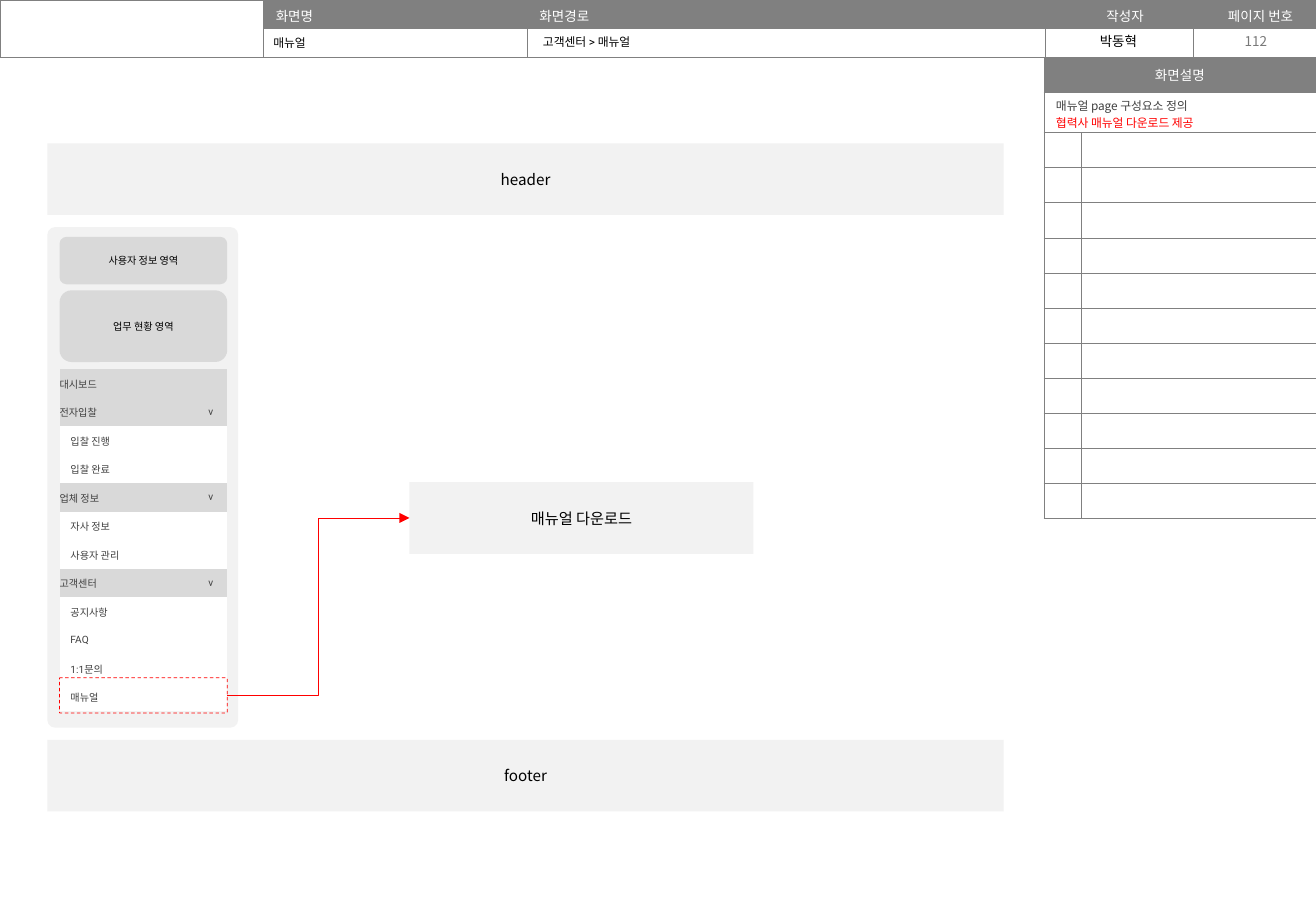
from lxml.etree import SubElement
from pptx import Presentation
from pptx.dml.color import RGBColor
from pptx.enum.dml import MSO_LINE
from pptx.enum.shapes import MSO_CONNECTOR, MSO_SHAPE
from pptx.enum.text import MSO_ANCHOR, PP_ALIGN
from pptx.oxml.ns import qn
from pptx.util import Inches, Pt

NOTO, ROBOTO = "Noto Sans CJK KR", "Roboto"
BLACK = RGBColor(0, 0, 0)
WHITE = RGBColor(0xFF, 0xFF, 0xFF)
RED = RGBColor(0xFF, 0, 0)
DARK = RGBColor(0x40, 0x40, 0x40)
NUMBER = RGBColor(0x79, 0x79, 0x79)
GRAY = RGBColor(0x80, 0x80, 0x80)
MID = RGBColor(0xD9, 0xD9, 0xD9)
LIGHT = RGBColor(0xF2, 0xF2, 0xF2)
LEFT, CENTER = PP_ALIGN.LEFT, PP_ALIGN.CENTER

TITLE = ("매뉴얼", 2.15, 0.24, 2.22, 0.22)
HEADINGS = [("화면명", LEFT), ("화면경로", LEFT), ("작성자", CENTER), ("페이지 번호", CENTER)]
INFO = [
    ("고객센터 > 매뉴얼", 4.37, 0.24, 4.21, 0.22, 7, ROBOTO, BLACK, LEFT),
    ("박동혁", 8.59, 0.22, 1.23, 0.24, 8, NOTO, BLACK, CENTER),
    ("112", 9.83, 0.22, 1.01, 0.24, 8, NOTO, NUMBER, CENTER),
]
NOTES = [("매뉴얼 page 구성요소 정의", DARK), ("협력사 매뉴얼 다운로드 제공", RED)]
EMPTY_NOTES = 11
MENU = [
    ("대시보드", []),
    ("전자입찰", ["입찰 진행", "입찰 완료"]),
    ("업체 정보", ["자사 정보", "사용자 관리"]),
    ("고객센터", ["공지사항", "FAQ", "1:1문의", "매뉴얼"]),
]
BANDS = [("header", 1.18), ("footer", 6.09)]
CARDS = [("사용자 정보 영역", 1.95, 0.39, 0.145), ("업무 현황 영역", 2.39, 0.59, 0.167)]
MENU_X, MENU_W = 0.49, 1.38


def style(p, size, font, color, align=LEFT):
    p.alignment = align
    for r in p.runs:
        r.font.size, r.font.name, r.font.color.rgb = Pt(size), font, color
        SubElement(r.font._element, qn("a:ea"), typeface=NOTO)


def fill_cell(cell, text, size, font, color, fill=None, align=LEFT, margins=(0.1, 0.05),
              anchor=MSO_ANCHOR.MIDDLE):
    cell.margin_left, cell.margin_top = map(Inches, margins)
    cell.margin_right = cell.margin_bottom = 0
    cell.vertical_anchor = anchor
    if fill is None:
        cell.fill.background()
    else:
        cell.fill.solid()
        cell.fill.fore_color.rgb = fill
    p = cell.text_frame.paragraphs[0]
    if text:
        p.text = text
        style(p, size, font, color, align)
    else:
        SubElement(p._p, qn("a:endParaRPr"), sz=str(size * 100))


def add_grid(s, x, y, cols, rows, border=None):
    frame = s.shapes.add_table(len(rows), len(cols), Inches(x), Inches(y),
                               Inches(sum(cols)), Inches(sum(rows)))
    table = frame.table
    table.first_row = table.horz_banding = False
    for column, width in zip(table.columns, cols):
        column.width = Inches(width)
    for row, height in zip(table.rows, rows):
        row.height = Inches(height)
    for cell in table.iter_cells():
        tcPr = cell._tc.get_or_add_tcPr()
        for side in "LRTB":
            ln = SubElement(tcPr, qn(f"a:ln{side}"), w=str(Pt(0.25)))
            if border is None:
                SubElement(ln, qn("a:noFill"))
            else:
                solid = SubElement(ln, qn("a:solidFill"))
                SubElement(solid, qn("a:srgbClr"), val=str(border))
    return table


def add_box(s, x, y, w, h, fill=None, text="", size=9, radius=0):
    kind = MSO_SHAPE.ROUNDED_RECTANGLE if radius else MSO_SHAPE.RECTANGLE
    box = s.shapes.add_shape(kind, Inches(x), Inches(y), Inches(w), Inches(h))
    box.shadow.inherit = False
    if radius:
        box.adjustments[0] = radius
    if fill is None:
        box.fill.background()
    else:
        box.fill.solid()
        box.fill.fore_color.rgb = fill
    box.line.fill.background()
    if text:
        tf = box.text_frame
        tf.text = text
        tf.vertical_anchor = MSO_ANCHOR.MIDDLE
        style(tf.paragraphs[0], size, NOTO, BLACK, CENTER)
    return box


def add_screen_info(s):
    title = s.shapes.title
    text, *place = TITLE
    title.left, title.top, title.width, title.height = map(Inches, place)
    title.text_frame.text = text
    title.text_frame.vertical_anchor = MSO_ANCHOR.TOP
    style(title.text_frame.paragraphs[0], 7, ROBOTO, BLACK)

    table = add_grid(s, 0, 0, [2.17, 2.17, 4.26, 1.22, 1.01], [0.235] * 2, GRAY)
    for cell in table.iter_cells():
        fill_cell(cell, "", 7, NOTO, BLACK)
    table.cell(0, 0).merge(table.cell(1, 0))
    for col, (text, align) in enumerate(HEADINGS, 1):
        fill_cell(table.cell(0, col), text, 8, NOTO, WHITE, GRAY, align,
                  anchor=MSO_ANCHOR.TOP)
    for text, x, y, w, h, size, font, color, align in INFO:
        tf = s.shapes.add_textbox(Inches(x), Inches(y), Inches(w), Inches(h)).text_frame
        tf.word_wrap = True
        tf.text = text
        style(tf.paragraphs[0], size, font, color, align)


def add_notes_table(s):
    table = add_grid(s, 8.59, 0.47, [0.31, 1.93], [0.29, 0.33] + [0.289] * EMPTY_NOTES, GRAY)
    for cell in table.iter_cells():
        fill_cell(cell, "", 7, NOTO, DARK)
    for row in range(2):
        table.cell(row, 0).merge(table.cell(row, 1))
    fill_cell(table.cell(0, 0), "화면설명", 8, NOTO, WHITE, GRAY, CENTER, (0, 0))
    notes = table.cell(1, 0)
    notes.margin_top = Inches(0.03)
    notes.text_frame.text = "\n".join(text for text, _ in NOTES)
    for p, (_, color) in zip(notes.text_frame.paragraphs, NOTES):
        style(p, 7, NOTO, color)


def add_menu(s):
    add_box(s, 0.39, 1.87, 1.57, 4.12, LIGHT, radius=0.04)
    rows = []
    for group, items in MENU:
        rows.append((group, "v" if items else "", MID, 0))
        rows += [(item, "", WHITE, 0.09) for item in items]
    table = add_grid(s, MENU_X, 3.04, [1.11, 0.27], [0.235] * len(rows))
    for row, (text, mark, fill, indent) in enumerate(rows):
        fill_cell(table.cell(row, 0), text, 6, ROBOTO, DARK, fill, margins=(indent, 0))
        fill_cell(table.cell(row, 1), mark, 6, ROBOTO, DARK, fill, CENTER, (0, 0))
    for text, y, h, radius in CARDS:
        add_box(s, MENU_X, y, MENU_W, h, MID, text, 6, radius)


def add_download_flow(s):
    selected = add_box(s, MENU_X, 5.58, MENU_W, 0.29, radius=0.02)
    selected.line.color.rgb = RED
    selected.line.width = Pt(0.5)
    selected.line.dash_style = MSO_LINE.DASH
    download = add_box(s, 3.37, 3.97, 2.83, 0.59, LIGHT, "매뉴얼 다운로드")
    arrow = s.shapes.add_connector(MSO_CONNECTOR.ELBOW, 0, 0, 0, 0)
    arrow.begin_connect(selected, 3)
    arrow.end_connect(download, 1)
    arrow.line.color.rgb = RED
    arrow.line.width = Pt(0.25)
    SubElement(arrow.line._get_or_add_ln(), qn("a:tailEnd"), type="triangle")
    SubElement(arrow._element.spPr, qn("a:effectLst"))


def main():
    """Build the manual page wireframe slide."""
    prs = Presentation()
    prs.slide_width, prs.slide_height = Inches(10.83), Inches(7.5)
    s = prs.slides.add_slide(prs.slide_layouts[5])
    add_screen_info(s)
    add_notes_table(s)
    for text, y in BANDS:
        add_box(s, 0.39, y, 7.87, 0.59, LIGHT, text)
    add_menu(s)
    add_download_flow(s)
    prs.save("out.pptx")


if __name__ == "__main__":
    main()
